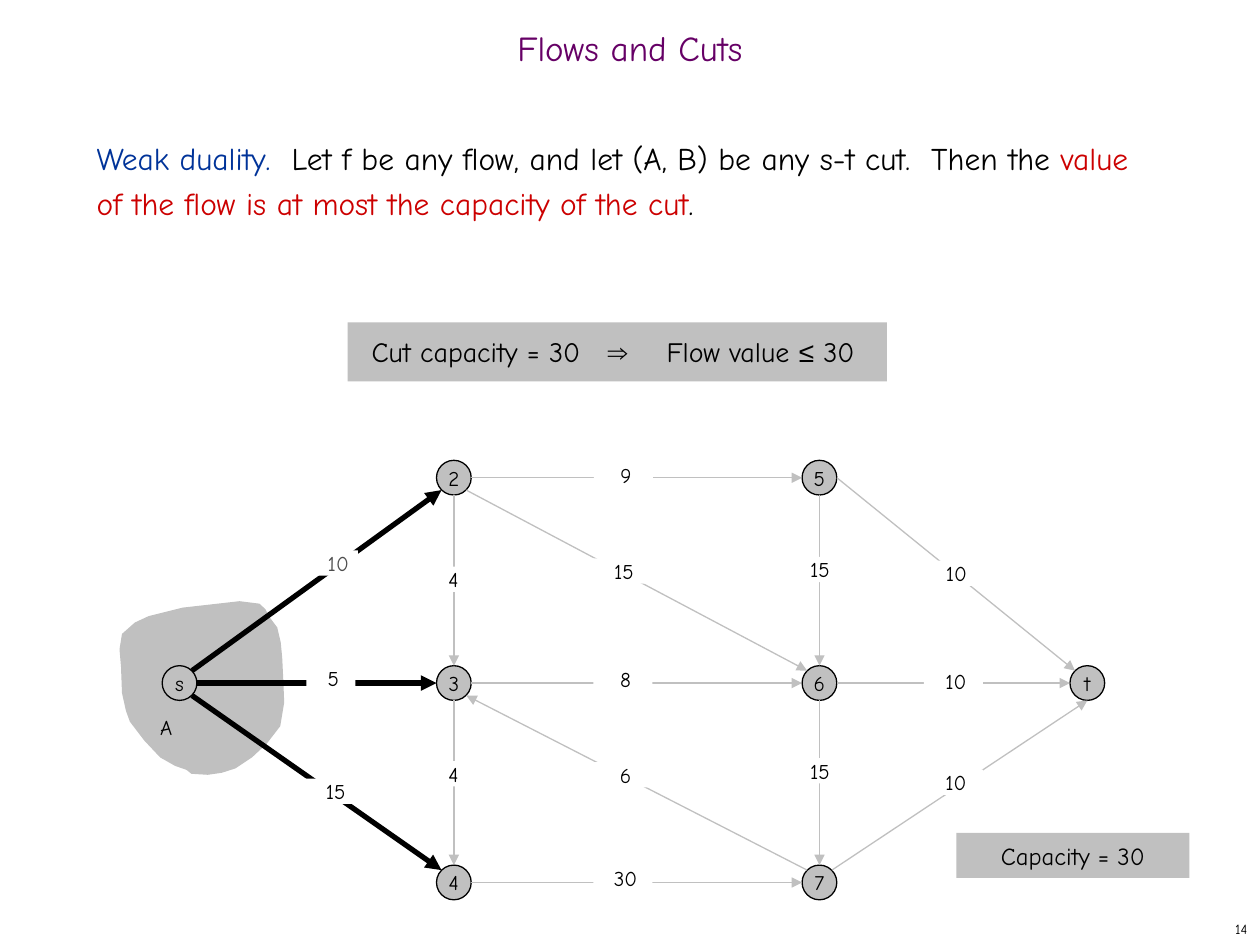
from dataclasses import dataclass

from lxml.etree import SubElement
from pptx import Presentation
from pptx.dml.color import RGBColor
from pptx.enum.shapes import MSO_CONNECTOR as Link, MSO_SHAPE as Form
from pptx.enum.text import MSO_ANCHOR as Anchor, PP_ALIGN as Align
from pptx.oxml.ns import qn
from pptx.util import Cm, Pt


@dataclass(frozen=True)
class Theme:
    font: str = "Comic Neue"
    sign: str = "Arial"
    black: str = "000000"
    white: str = "FFFFFF"
    gray: str = "C0C0C0"
    dim: str = "4D4D4D"
    plum: str = "660066"
    blue: str = "003399"
    red: str = "CC0000"
    title: float = 20
    body: float = 18
    claim: float = 16
    note: float = 14
    label: float = 12
    page: float = 8


look = Theme()


def write(shape, *runs, size=look.label, color=look.black, align=Align.CENTER,
          anchor=Anchor.TOP, wrap=True, inset=(0, 0, 0, 0), space=None, tabs=()):
    """Fill a shape with runs, each a string or (text, color, font); insets in cm."""
    frame = shape.text_frame
    frame.word_wrap, frame.vertical_anchor = wrap, anchor
    (frame.margin_left, frame.margin_top,
     frame.margin_right, frame.margin_bottom) = map(Cm, inset)
    para = frame.paragraphs[0]
    para.alignment = align
    if space:
        para.line_spacing = space
    if tabs:
        stops = SubElement(para._p.get_or_add_pPr(), qn("a:tabLst"))
        for stop in tabs:
            SubElement(stops, qn("a:tab"), pos=str(Cm(stop)), algn="l")
    for item in runs:
        text, tint, face = (item, color, look.font) if isinstance(item, str) else item
        run = para.add_run()
        run.text = text
        run.font.name, run.font.size = face, Pt(size)
        run.font.color.rgb = RGBColor.from_string(tint)


def paint(shape, fill, line=None):
    shape.shadow.inherit = False
    shape.fill.solid()
    shape.fill.fore_color.rgb = RGBColor.from_string(fill)
    if line:
        shape.line.color.rgb = RGBColor.from_string(line)
        shape.line.width = Pt(0.75)
    else:
        shape.line.fill.background()
    return shape


deck = Presentation()
deck.slide_width, deck.slide_height = Cm(25.4), Cm(19.05)
shapes = deck.slides.add_slide(deck.slide_layouts[6]).shapes
pad = (0.25, 0.13, 0.25, 0.13)

# Headings and statement
write(shapes.add_textbox(Cm(20.12), Cm(18.42), Cm(5.28), Cm(0.63)), "14",
      size=look.page, align=Align.RIGHT, anchor=Anchor.MIDDLE, inset=pad)
write(shapes.add_textbox(Cm(0), Cm(0.43), Cm(25.4), Cm(1.27)), "Flows and Cuts",
      size=look.title, color=look.plum, anchor=Anchor.MIDDLE, inset=pad, space=0.7)
write(shapes.add_textbox(Cm(1.7), Cm(2.54), Cm(21.8), Cm(15.04)),
      ("Weak duality.", look.blue, look.font),
      "  Let f be any flow, and let (A, B) be any s-t cut.  Then the ",
      ("value of the flow is at most the capacity of the cut", look.red, look.font),
      ".", size=look.body, align=Align.LEFT, inset=pad, space=Pt(25.6))
claim = shapes.add_shape(Form.RECTANGLE, Cm(7.01), Cm(6.5), Cm(10.87), Cm(1.19))
write(paint(claim, look.gray), "Cut capacity = 30\t", ("⇒", look.black, look.sign),
      "\tFlow value ", ("≤", look.black, look.sign), " 30", size=look.claim,
      align=Align.LEFT, inset=(0.48, 0.25, 0, 0.25), tabs=(4.76, 5.95))

# Side A of the cut, in hundredths of a centimetre
rim = [(246, 1278), (272, 1255), (300, 1242), (368, 1225), (439, 1217), (483, 1212),
       (523, 1217), (535, 1228), (544, 1245), (559, 1265), (566, 1295), (569, 1326),
       (571, 1367), (573, 1416), (565, 1464), (538, 1499), (508, 1527), (475, 1549),
       (447, 1558), (419, 1562), (386, 1560), (376, 1552), (353, 1544), (323, 1527),
       (291, 1493), (262, 1455), (254, 1433), (246, 1397), (244, 1344), (241, 1309)]
pen = shapes.build_freeform(*rim[0], scale=Cm(0.01))
pen.add_line_segments(rim[1:], close=True)
paint(pen.convert_to_shape(), look.gray)

# Nodes
cols, rows = (3.62, 9.15, 16.52, 21.92), (9.63, 13.77, 17.79)
grid = {"s": (0, 1), "2": (1, 0), "3": (1, 1), "4": (1, 2),
        "5": (2, 0), "6": (2, 1), "7": (2, 2), "t": (3, 1)}
nodes = {name: (cols[c], rows[r]) for name, (c, r) in grid.items()}
rad, slant = 0.35, 0.25
for name, (x, y) in nodes.items():
    disc = shapes.add_shape(Form.OVAL, Cm(x - rad), Cm(y - rad), Cm(2 * rad), Cm(2 * rad))
    write(paint(disc, look.gray, look.black), name, anchor=Anchor.MIDDLE, wrap=False)

# Edges: ends, compass port at each end, capacity, centre of its label
ports = {"n": (0, -rad), "e": (rad, 0), "s": (0, rad), "w": (-rad, 0),
         "ne": (slant, -slant), "se": (slant, slant),
         "sw": (-slant, slant), "nw": (-slant, -slant)}
edges = [("s", "2", "ne", "sw", "10", 6.62, 11.35),
         ("s", "3", "e", "w", "5", 6.67, 13.67),
         ("s", "4", "se", "nw", "15", 6.72, 15.95),
         ("2", "5", "e", "w", "9", 12.57, 9.58),
         ("2", "6", "se", "nw", "15", 12.53, 11.51),
         ("2", "3", "s", "n", "4", 9.09, 11.68),
         ("3", "6", "e", "w", "8", 12.56, 13.69),
         ("3", "4", "s", "n", "4", 9.09, 15.6),
         ("7", "3", "nw", "se", "6", 12.56, 15.62),
         ("4", "7", "e", "w", "30", 12.56, 17.7),
         ("5", "6", "s", "n", "15", 16.48, 11.48),
         ("6", "7", "s", "n", "15", 16.48, 15.54),
         ("5", "t", "e", "nw", "10", 19.08, 11.56),
         ("6", "t", "e", "w", "10", 19.22, 13.74),
         ("7", "t", "ne", "s", "10", 19.22, 15.77)]
for tail, head, out, into, *_ in edges:
    ends = [Cm(a + b) for node, port in ((tail, out), (head, into))
            for a, b in zip(nodes[node], ports[port])]
    edge = shapes.add_connector(Link.STRAIGHT, *ends)
    cut = tail == "s"
    edge.line.color.rgb = RGBColor.from_string(look.black if cut else look.gray)
    edge.line.width = Pt(3 if cut else 0.75)
    SubElement(edge.line._get_or_add_ln(), qn("a:tailEnd"), type="triangle")
    SubElement(edge._element.spPr, qn("a:effectLst"))

# Capacities
high = 0.51
for tail, head, _, _, text, x, y in edges:
    wide = 0.99 if text == "5" else 1.19
    tag = shapes.add_shape(Form.RECTANGLE, Cm(x - wide / 2), Cm(y - high / 2),
                           Cm(wide), Cm(high))
    shift = 0.4 if tail + head in ("s2", "5t") else 0.1
    write(paint(tag, look.white), text, inset=(shift, 0, 0, 0),
          color=look.dim if tail + head == "s2" else look.black)

# Cut notes
note = shapes.add_shape(Form.RECTANGLE, Cm(19.28), Cm(16.79), Cm(4.7), Cm(0.91))
write(paint(note, look.gray), "Capacity = 30", size=look.note, anchor=Anchor.MIDDLE)
write(shapes.add_textbox(Cm(3.22), Cm(14.4), Cm(0.26), Cm(0.51)), "A", wrap=False)

deck.save("out.pptx")
